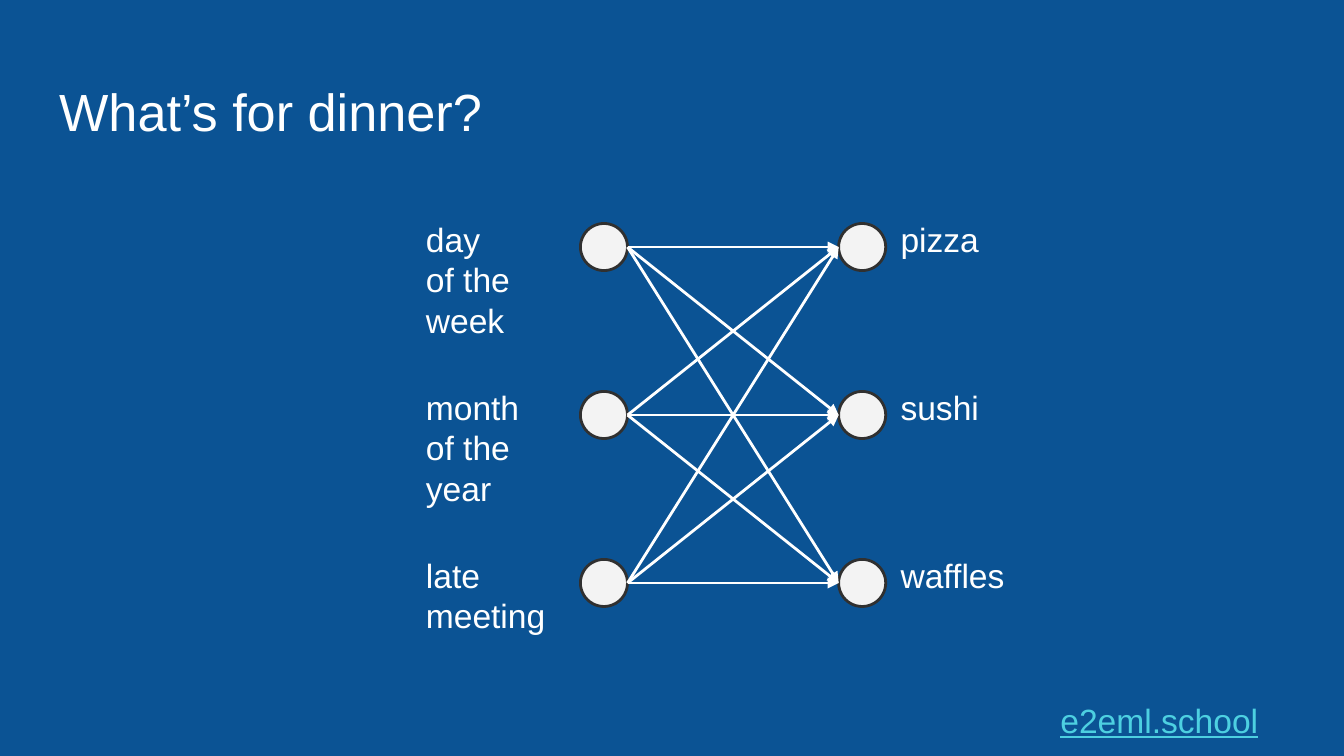
from lxml import etree
from pptx import Presentation
from pptx import util as u
from pptx.dml.color import RGBColor
from pptx.enum import shapes, text
from pptx.oxml import ns

BLUE = RGBColor(0x0B, 0x53, 0x94)
WHITE = RGBColor(0xFF, 0xFF, 0xFF)
PALE = RGBColor(0xF3, 0xF3, 0xF3)
DARK = RGBColor(0x30, 0x30, 0x30)
CYAN = RGBColor(0x4D, 0xD0, 0xE1)

INPUTS = [("day\nof the week", 3.66), ("month of the year", 2.67), ("late meeting", 3.66)]
OUTPUTS = ["pizza", "sushi", "waffles"]
NODE = 0.89
INPUT_LEFT, OUTPUT_LEFT = 10.97, 15.85
FIRST_CENTER, ROW_STEP = 4.67, 3.175
LABEL_RISE = 0.78


def write(box, words, size=18, color=WHITE, underline=None, spacing=None, after=None):
    frame = box.text_frame
    frame.word_wrap = True
    frame.vertical_anchor = text.MSO_ANCHOR.TOP
    for side in ("left", "top", "right", "bottom"):
        setattr(frame, f"margin_{side}", u.Cm(0.25))
    for index, line in enumerate(words.split("\n")):
        para = frame.add_paragraph() if index else frame.paragraphs[0]
        para.line_spacing = spacing
        para.space_after = after
        span = para.add_run()
        span.text = line
        span.font.name = "Arial"
        span.font.size = u.Pt(size)
        span.font.color.rgb = color
        span.font.underline = underline


class NetworkSlide:
    """Draw labelled nodes and arrows in one style on the current slide."""

    def __init__(self, page, stroke=1.5):
        self.page = page
        self.stroke = u.Pt(stroke)
        page.background.fill.solid()
        page.background.fill.fore_color.rgb = BLUE

    def label(self, words, left, top, width, height=1.47, **style):
        box = self.page.shapes.add_textbox(u.Cm(left), u.Cm(top), u.Cm(width), u.Cm(height))
        write(box, words, **style)

    def node(self, left, center):
        circle = self.page.shapes.add_shape(
            shapes.MSO_SHAPE.OVAL, u.Cm(left), u.Cm(center - NODE / 2), u.Cm(NODE), u.Cm(NODE))
        circle.shadow.inherit = False
        circle.fill.solid()
        circle.fill.fore_color.rgb = PALE
        circle.line.color.rgb = DARK
        circle.line.width = self.stroke

    def arrow(self, start, end):
        link = self.page.shapes.add_connector(
            shapes.MSO_CONNECTOR.STRAIGHT, *map(u.Cm, start), *map(u.Cm, end))
        link.line.color.rgb = WHITE
        link.line.width = self.stroke
        properties = link._element.spPr
        etree.SubElement(properties.find(ns.qn("a:ln")), ns.qn("a:tailEnd"), type="triangle")
        etree.SubElement(properties, ns.qn("a:effectLst"))


def main():
    deck = Presentation()
    deck.slide_width, deck.slide_height = u.Cm(25.4), u.Cm(14.29)
    slide = NetworkSlide(deck.slides.add_slide(deck.slide_layouts[6]))
    slide.label("What’s for dinner?", 0.87, 1.24, 23.67, 1.6, size=28)

    centers = [FIRST_CENTER + row * ROW_STEP for row in range(len(OUTPUTS))]
    for center, (words, width), answer in zip(centers, INPUTS, OUTPUTS):
        slide.label(words, 7.8, center - LABEL_RISE, width)
        slide.label(answer, 16.77, center - LABEL_RISE, 2.95)
        slide.node(INPUT_LEFT, center)
        slide.node(OUTPUT_LEFT, center)
    for start in centers:
        for end in centers:
            slide.arrow((INPUT_LEFT + NODE, start), (OUTPUT_LEFT, end))

    slide.label("e2eml.school", 19.79, 12.86, 5.41, 1.22,
                color=CYAN, underline=True, spacing=1.15, after=u.Pt(16))
    deck.save("out.pptx")


if __name__ == "__main__":
    main()
